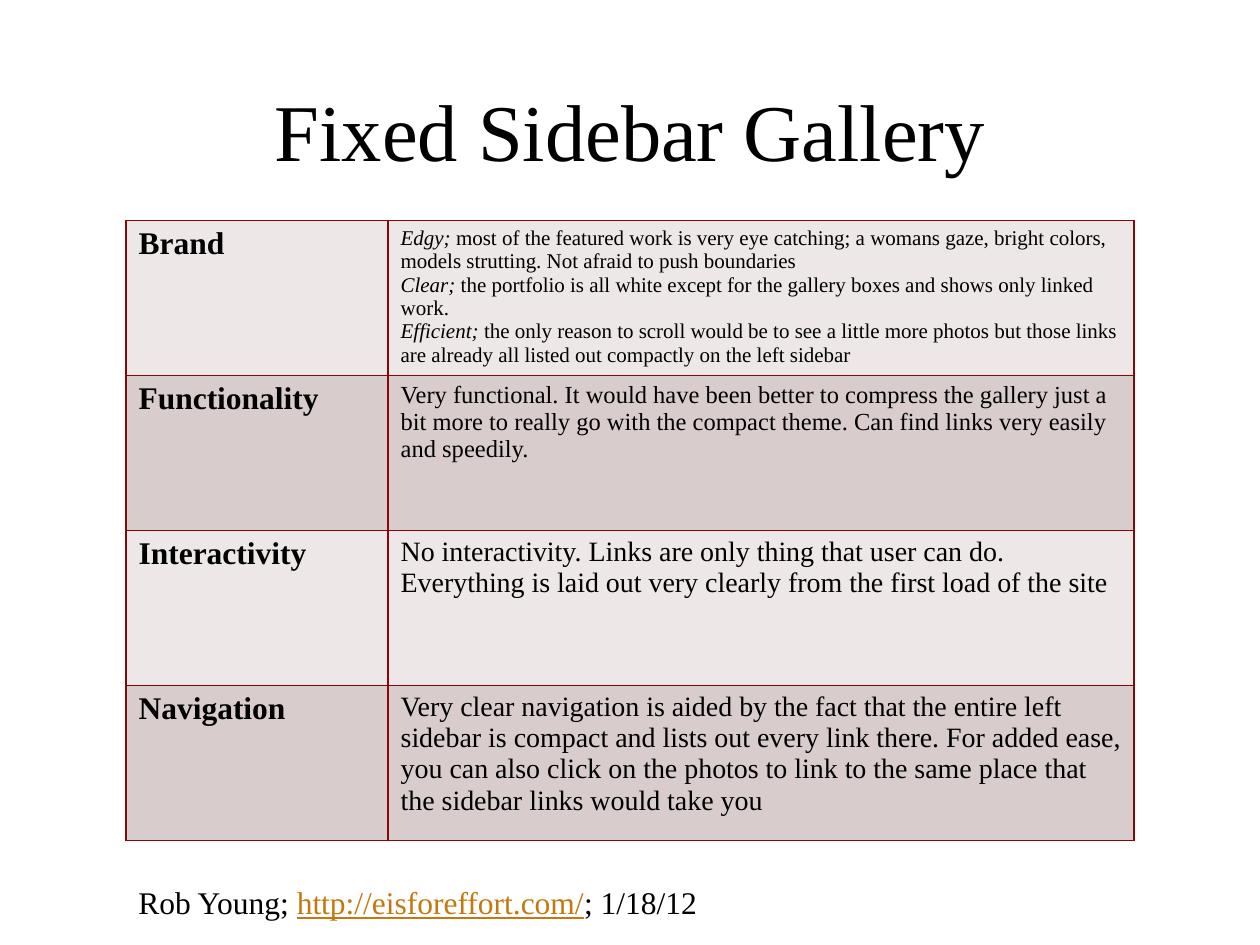
from pptx import Presentation
from pptx.dml.color import RGBColor
from pptx.enum.text import MSO_ANCHOR, MSO_AUTO_SIZE, PP_ALIGN
from pptx.oxml import parse_xml
from pptx.oxml.ns import nsdecls
from pptx.util import Inches, Pt

FONT = "Times New Roman"
BLACK, LINK, BORDER = "000000", "C47810", "860908"
BANDS = ("EDE7E7", "D9CCCC")
ITALIC = {"italic": True}

TITLE = "Fixed Sidebar Gallery"
# Label, text size, paragraphs made of (text, format) runs
REVIEW = [
    ("Brand", 12, [
        [("Edgy; ", ITALIC),
         ("most of the featured work is very eye catching; a womans gaze, bright colors, "
          "models strutting. Not afraid to push boundaries", {})],
        [("Clear; ", ITALIC),
         ("the portfolio is all white except for the gallery boxes and shows only "
          "linked work.", {})],
        [("Efficient; ", ITALIC),
         ("the only reason to scroll would be to see a little more photos but those links "
          "are already all listed out compactly on the left sidebar", {})],
    ]),
    ("Functionality", 14, [[
        ("Very functional. It would have been better to compress the gallery just a bit more "
         "to really go with the compact theme. Can find links very easily and speedily.", {})]]),
    ("Interactivity", 16, [[
        ("No interactivity. Links are only thing that user can do. Everything is laid out "
         "very clearly from the first load of the site", {})]]),
    ("Navigation", 16, [[
        ("Very clear navigation is aided by the fact that the entire left sidebar is compact "
         "and lists out every link there. For added ease, you can also click on the photos to "
         "link to the same place that the sidebar links would take you", {})]]),
]
CREDIT = [[("Rob Young; ", {}),
           ("http://eisforeffort.com/", {"color": LINK, "underline": True}),
           ("; 1/18/12", {})]]

LEFT, WIDTH = 1, 8
TABLE_TOP, ROW_HEIGHT = 1.75, 1.23
COLUMNS = (2.08, 5.92)


def rgb(color):
    return RGBColor.from_string(color)


def write(frame, paragraphs, size, align=PP_ALIGN.LEFT):
    for index, runs in enumerate(paragraphs):
        paragraph = frame.paragraphs[0] if index == 0 else frame.add_paragraph()
        paragraph.alignment = align
        for text, extra in runs:
            run = paragraph.add_run()
            run.text = text
            values = {"name": FONT, "size": Pt(size), "bold": False, **extra}
            run.font.color.rgb = rgb(values.pop("color", BLACK))
            for name, value in values.items():
                setattr(run.font, name, value)


def style_cell(cell, color):
    """Give a cell its four borders, then its fill."""
    properties = cell._tc.get_or_add_tcPr()
    for side in "LRTB":
        properties.append(parse_xml(
            f'<a:ln{side} {nsdecls("a")} w="{Pt(1)}"><a:solidFill>'
            f'<a:srgbClr val="{BORDER}"/></a:solidFill></a:ln{side}>'))
    cell.fill.solid()
    cell.fill.fore_color.rgb = rgb(color)


def add_title(slide):
    title = slide.shapes.title
    title.left, title.top = Inches(LEFT), Inches(0.55)
    title.width, title.height = Inches(WIDTH), Inches(0.95)
    title.text_frame.auto_size = MSO_AUTO_SIZE.NONE
    title.text_frame.vertical_anchor = MSO_ANCHOR.MIDDLE
    write(title.text_frame, [[(TITLE, {})]], 46, PP_ALIGN.CENTER)


def add_review(slide):
    table = slide.shapes.add_table(
        len(REVIEW), len(COLUMNS), Inches(LEFT), Inches(TABLE_TOP),
        Inches(WIDTH), Inches(ROW_HEIGHT * len(REVIEW))).table
    table.first_row = table.horz_banding = False
    for column, width in zip(table.columns, COLUMNS):
        column.width = Inches(width)
    for index, (label, size, paragraphs) in enumerate(REVIEW):
        table.rows[index].height = Inches(ROW_HEIGHT)
        heading, body = table.rows[index].cells
        for cell in (heading, body):
            style_cell(cell, BANDS[index % 2])
        write(heading.text_frame, [[(label, {"bold": True})]], 18)
        write(body.text_frame, paragraphs, size)


def add_credit(slide):
    box = slide.shapes.add_textbox(Inches(LEFT), Inches(6.96), Inches(4.83), Inches(0.4))
    box.text_frame.word_wrap = False
    box.text_frame.auto_size = MSO_AUTO_SIZE.SHAPE_TO_FIT_TEXT
    write(box.text_frame, CREDIT, 18)


def main():
    presentation = Presentation()
    presentation.slide_width, presentation.slide_height = Inches(10), Inches(7.5)
    slide = presentation.slides.add_slide(presentation.slide_layouts[5])
    add_title(slide)
    add_review(slide)
    add_credit(slide)
    presentation.save("out.pptx")


if __name__ == "__main__":
    main()
